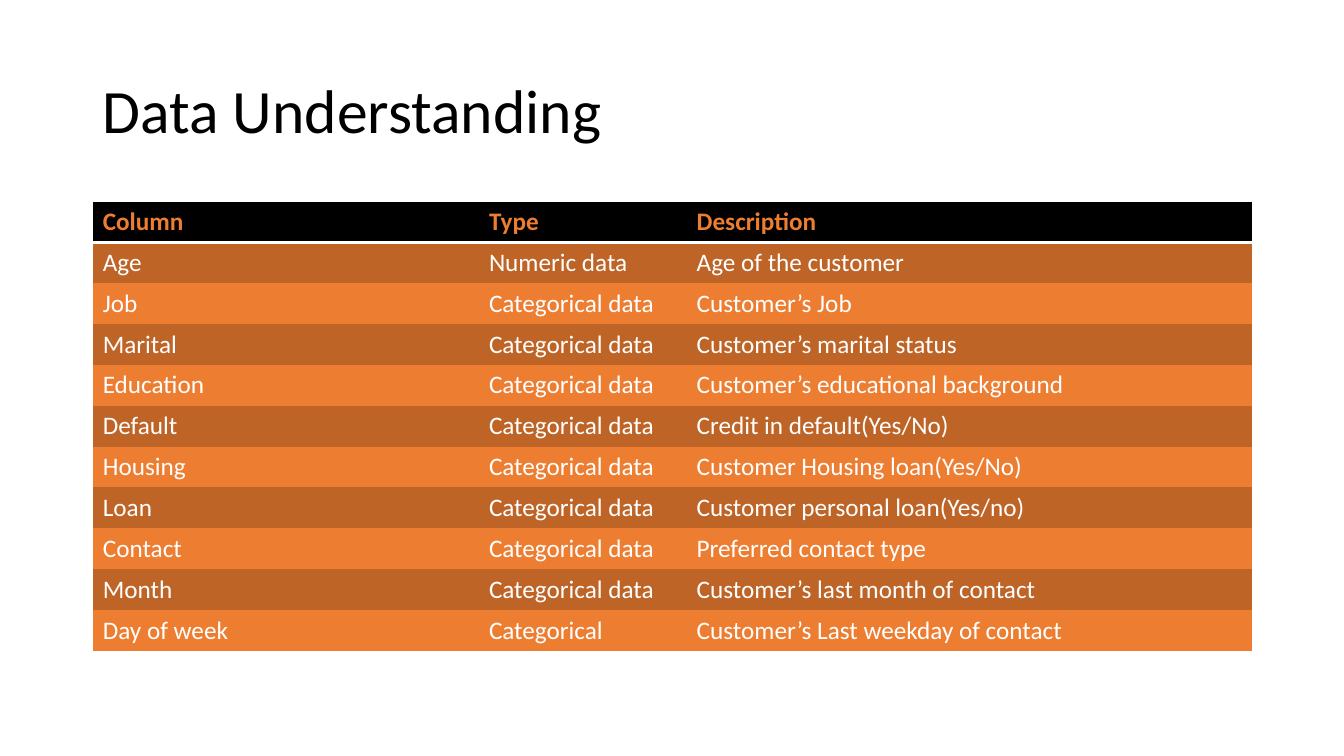
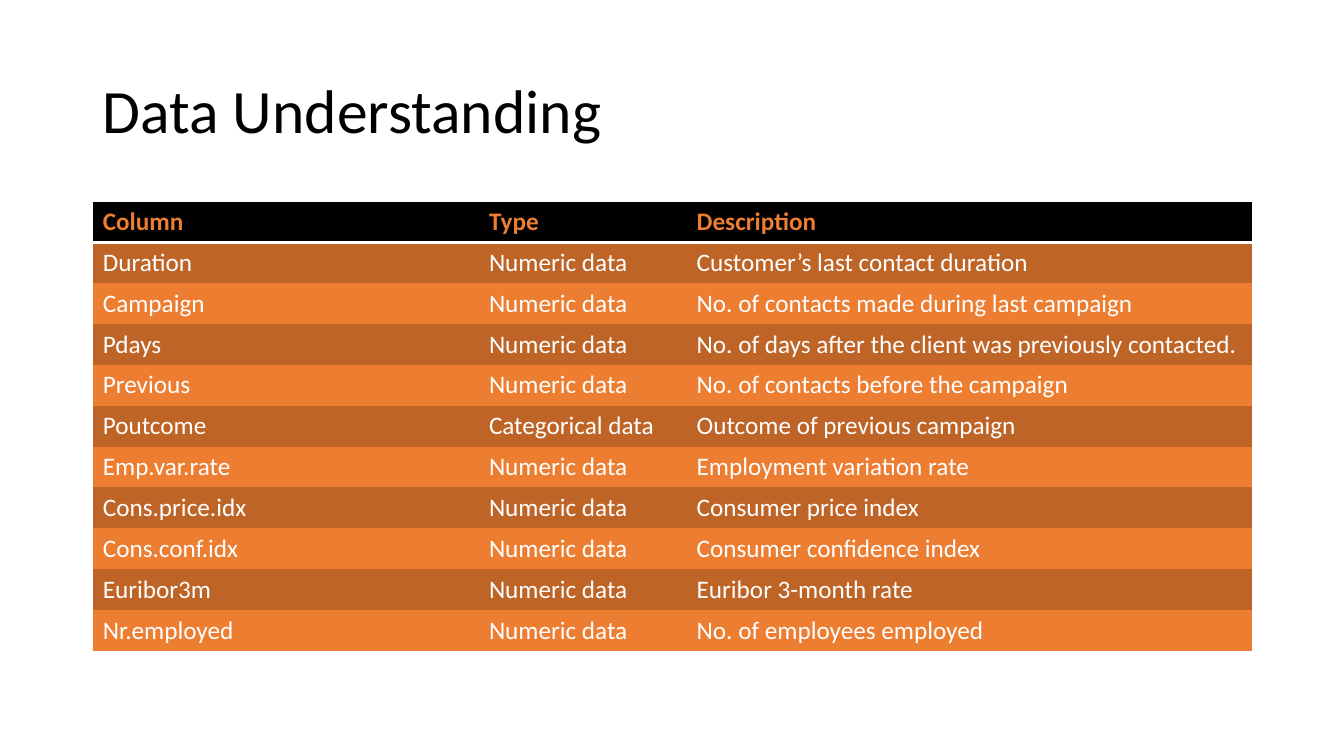
from lxml import etree
from pptx import Presentation
from pptx.dml.color import RGBColor
from pptx.enum import text
from pptx.oxml import ns
from pptx.util import Inches, Pt

COLOURS = {
    "black": "000000",
    "white": "FFFFFF",
    "orange": "ED7D31",
    "brown": "BE6427",
}
FONT = "Calibri"
TITLE = "Data Understanding"
HEADINGS = ("Column", "Type", "Description")
COLUMN_WIDTHS = (3.83, 2.06, 5.61)
TITLE_BOX = (0.92, 0.4, 11.5, 1.45)
TABLE_BOX = (0.92, 2, 11.5, 4.46)
PLAIN_TABLE_STYLE = "{2D5ABB26-0587-4C30-8999-92F81FD0307C}"

NUMERIC = "Numeric data"
CATEGORICAL = "Categorical data"

CUSTOMER_FIELDS = [
    ("Age", NUMERIC, "Age of the customer"),
    ("Job", CATEGORICAL, "Customer’s Job"),
    ("Marital", CATEGORICAL, "Customer’s marital status"),
    ("Education", CATEGORICAL, "Customer’s educational background"),
    ("Default", CATEGORICAL, "Credit in default(Yes/No)"),
    ("Housing", CATEGORICAL, "Customer Housing loan(Yes/No)"),
    ("Loan", CATEGORICAL, "Customer personal loan(Yes/no)"),
    ("Contact", CATEGORICAL, "Preferred contact type"),
    ("Month", CATEGORICAL, "Customer’s last month of contact"),
    ("Day of week", "Categorical", "Customer’s Last weekday of contact"),
]
CAMPAIGN_FIELDS = [
    ("Duration", NUMERIC, "Customer’s last contact duration"),
    ("Campaign", NUMERIC, "No. of contacts made during last campaign"),
    ("Pdays", NUMERIC, "No. of days after the client was previously contacted."),
    ("Previous", NUMERIC, "No. of contacts before the campaign"),
    ("Poutcome", CATEGORICAL, "Outcome of previous campaign"),
    ("Emp.var.rate", NUMERIC, "Employment variation rate"),
    ("Cons.price.idx", NUMERIC, "Consumer price index"),
    ("Cons.conf.idx", NUMERIC, "Consumer confidence index"),
    ("Euribor3m", NUMERIC, "Euribor 3-month rate"),
    ("Nr.employed", NUMERIC, "No. of employees employed"),
]


def colour(name):
    return RGBColor.from_string(COLOURS[name])


def write(paragraph, wording, size, colour_name, bold=False):
    paragraph.text = wording
    font = paragraph.font
    font.name = FONT
    font.size = Pt(size)
    font.bold = bold
    font.color.rgb = colour(colour_name)


def add_title(slide, box):
    frame = slide.shapes.add_textbox(*map(Inches, box)).text_frame
    frame.word_wrap = True
    frame.vertical_anchor = text.MSO_ANCHOR.MIDDLE
    paragraph = frame.paragraphs[0]
    paragraph.line_spacing = 0.9
    write(paragraph, TITLE, 44, "black")


def add_bottom_border(cell, colour_name, width):
    line = etree.Element(ns.qn("a:lnB"), w=str(Pt(width)))
    fill = etree.SubElement(line, ns.qn("a:solidFill"))
    etree.SubElement(fill, ns.qn("a:srgbClr"), val=COLOURS[colour_name])
    # Borders must come before the fill in the cell properties.
    cell._tc.get_or_add_tcPr().insert(0, line)


def add_field_table(slide, box, fields):
    rows = [HEADINGS, *fields]
    shape = slide.shapes.add_table(len(rows), len(HEADINGS), *map(Inches, box))
    table = shape.table
    table._tbl.tblPr.find(ns.qn("a:tableStyleId")).text = PLAIN_TABLE_STYLE
    for column, width in zip(table.columns, COLUMN_WIDTHS):
        column.width = Inches(width)

    for row_number, row in enumerate(rows):
        is_header = row_number == 0
        band = "black" if is_header else ("orange", "brown")[row_number % 2]
        ink = "orange" if is_header else "white"
        for column_number, wording in enumerate(row):
            cell = table.cell(row_number, column_number)
            cell.fill.solid()
            cell.fill.fore_color.rgb = colour(band)
            write(cell.text_frame.paragraphs[0], wording, 18, ink, is_header)
            if is_header:
                add_bottom_border(cell, "white", 2)


def add_field_slide(presentation, fields):
    slide = presentation.slides.add_slide(presentation.slide_layouts[6])
    add_title(slide, TITLE_BOX)
    add_field_table(slide, TABLE_BOX, fields)


def main():
    presentation = Presentation()
    presentation.slide_width = Inches(13.33)
    presentation.slide_height = Inches(7.5)
    for fields in (CUSTOMER_FIELDS, CAMPAIGN_FIELDS):
        add_field_slide(presentation, fields)
    presentation.save("out.pptx")


if __name__ == "__main__":
    main()
